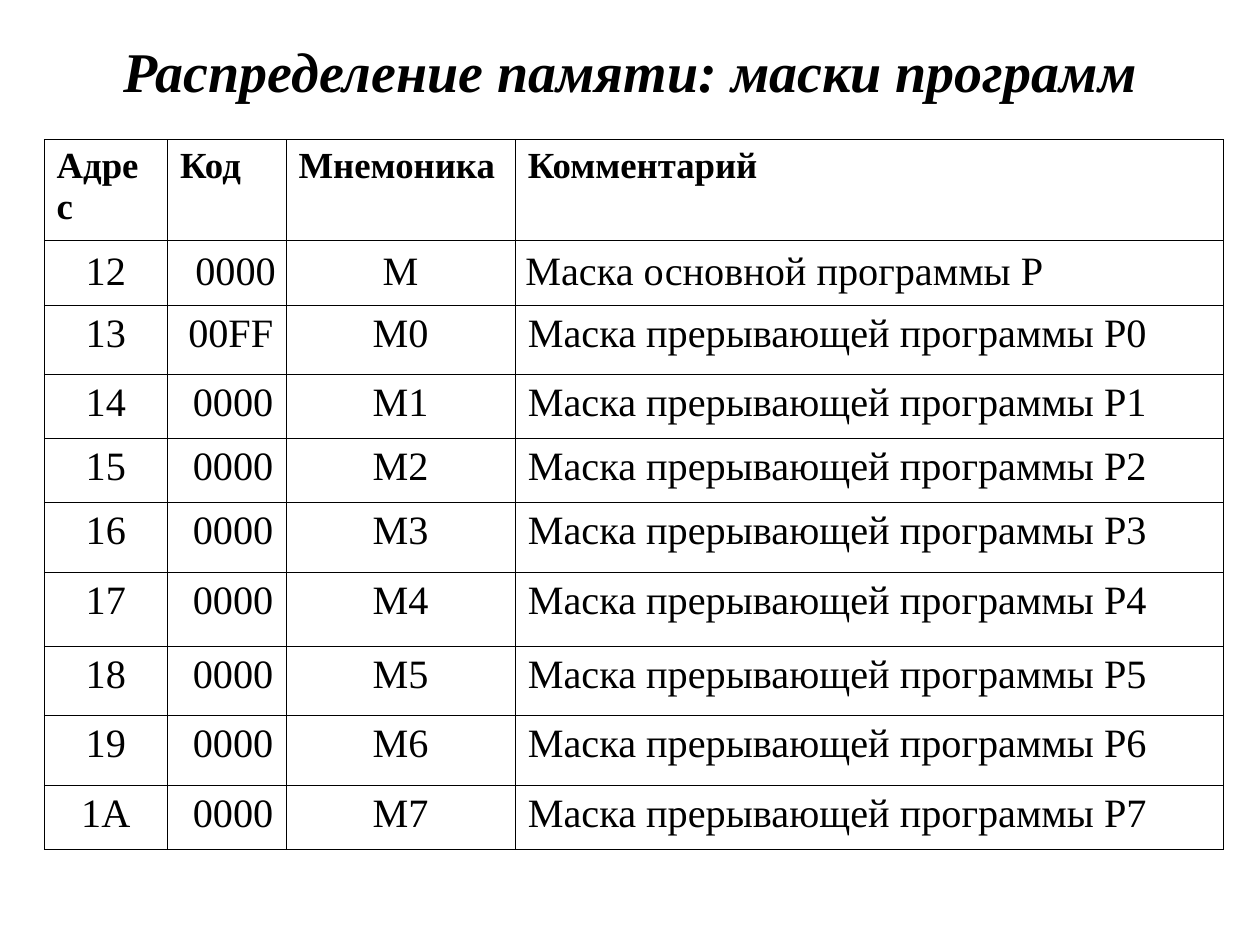
from lxml.etree import SubElement
from pptx import Presentation
from pptx.dml.color import RGBColor
from pptx.enum.text import MSO_ANCHOR as Anchor, MSO_AUTO_SIZE as AutoSize, PP_ALIGN as Align
from pptx.oxml.ns import qn
from pptx.util import Inches, Pt

BLACK = RGBColor(0x00, 0x00, 0x00)
WHITE = RGBColor(0xFF, 0xFF, 0xFF)
TITLE_ONLY = 5

HEADERS = ["Адрес", "Код", "Мнемоника", "Комментарий"]
MAIN_PROGRAM = ["12", "0000", "M", "Маска основной программы P"]
INTERRUPTS = [
    [f"{0x13 + number:X}", "0000" if number else "00FF", f"M{number}",
     f"Маска прерывающей программы P{number}"]
    for number in range(8)
]
COLUMN_WIDTHS = [0.98, 0.94, 1.82, 5.62]
ROW_HEIGHTS = [0.8, 0.51, 0.55, 0.51, 0.51, 0.55, 0.59, 0.55, 0.55, 0.51]
COLUMN_ALIGNS = [Align.CENTER, Align.RIGHT, Align.CENTER, Align.JUSTIFY]


def set_text(text_frame, text, size, align, font_name, color,
             bold=False, italic=False, line_spacing=1.0):
    paragraph = text_frame.paragraphs[0]
    paragraph.alignment = align
    paragraph.line_spacing = line_spacing
    paragraph.space_before = Pt(0)
    run = paragraph.add_run()
    run.text = text
    font = run.font
    font.name, font.size = font_name, Pt(size)
    font.bold, font.italic = bold, italic
    font.color.rgb = color


def set_margins(target, horizontal, vertical=0.05):
    target.margin_left = target.margin_right = Inches(horizontal)
    target.margin_top = target.margin_bottom = Inches(vertical)


class SlideBuilder:
    font_name = "Times New Roman"
    text_color = BLACK
    border_color = BLACK
    border_width = Pt(0.45)

    def __init__(self, presentation):
        self.slide = presentation.slides.add_slide(presentation.slide_layouts[TITLE_ONLY])
        self.slide.background.fill.solid()
        self.slide.background.fill.fore_color.rgb = WHITE

    def styled_text(self, text_frame, text, size, align, **text_format):
        set_text(text_frame, text, size, align, self.font_name, self.text_color, **text_format)

    def title(self, text, left, top, width, height):
        title = self.slide.shapes.title
        title.left, title.top = Inches(left), Inches(top)
        title.width, title.height = Inches(width), Inches(height)
        frame = title.text_frame
        frame.word_wrap = True
        frame.auto_size = AutoSize.NONE
        frame.vertical_anchor = Anchor.MIDDLE
        set_margins(frame, 0.1)
        self.styled_text(frame, text, 32, Align.CENTER, bold=True, italic=True)

    def table(self, left, top, column_widths, row_heights):
        frame = self.slide.shapes.add_table(
            len(row_heights), len(column_widths), Inches(left), Inches(top),
            Inches(sum(column_widths)), Inches(sum(row_heights)))
        table = frame.table
        table.first_row = table.horz_banding = False
        for column, width in zip(table.columns, column_widths):
            column.width = Inches(width)
        for row, height in zip(table.rows, row_heights):
            row.height = Inches(height)
        return table

    def fill_row(self, row, texts, aligns, size, margin=0.1, **text_format):
        for cell, text, align in zip(row.cells, texts, aligns):
            set_margins(cell, margin)
            cell.vertical_anchor = Anchor.TOP
            self.styled_text(cell.text_frame, text, size, align, **text_format)
            self.outline(cell)
            cell.fill.background()

    def outline(self, cell):
        """Draw all four borders of a cell; call before setting its fill."""
        properties = cell._tc.get_or_add_tcPr()
        for side in ("a:lnL", "a:lnR", "a:lnT", "a:lnB"):
            line = SubElement(properties, qn(side), w=str(self.border_width))
            fill = SubElement(line, qn("a:solidFill"))
            SubElement(fill, qn("a:srgbClr"), val=str(self.border_color))


def main():
    presentation = Presentation()
    presentation.slide_width, presentation.slide_height = Inches(10), Inches(7.5)
    builder = SlideBuilder(presentation)
    builder.title("Распределение памяти: маски программ", 0.2, 0.17, 9.61, 0.77)

    table = builder.table(0.35, 1.11, COLUMN_WIDTHS, ROW_HEIGHTS)
    header_row, main_row, *interrupt_rows = table.rows
    builder.fill_row(header_row, HEADERS, [Align.JUSTIFY] * len(HEADERS), 21, bold=True)
    builder.fill_row(main_row, MAIN_PROGRAM, COLUMN_ALIGNS, 23, margin=0.08, line_spacing=1.05)
    for row, texts in zip(interrupt_rows, INTERRUPTS):
        builder.fill_row(row, texts, COLUMN_ALIGNS, 23)
    presentation.save("out.pptx")


if __name__ == "__main__":
    main()
